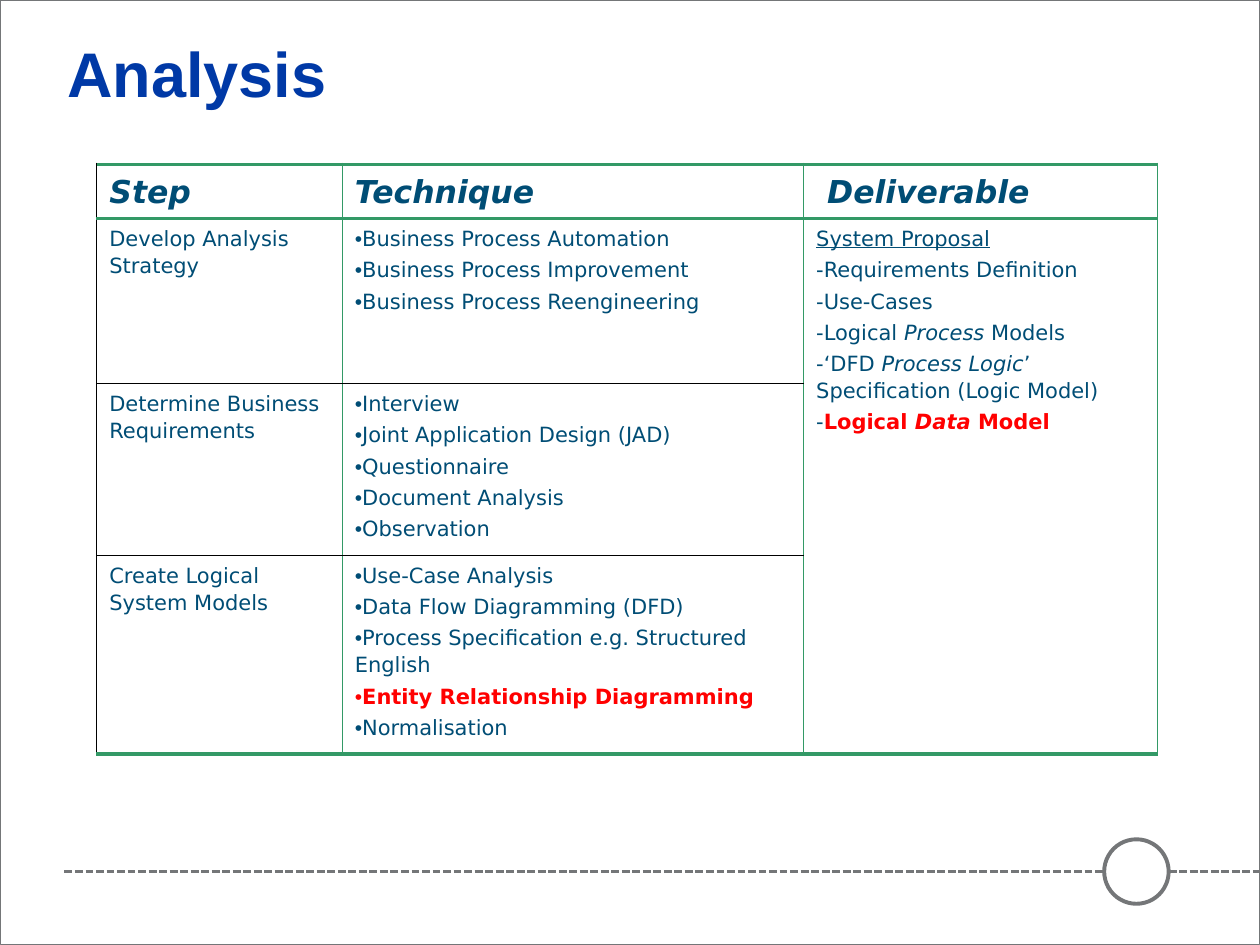
from lxml import etree
from pptx import Presentation
from pptx.dml.color import RGBColor
from pptx.enum.dml import MSO_LINE
from pptx.enum.shapes import MSO_CONNECTOR, MSO_SHAPE
from pptx.enum.text import MSO_ANCHOR, PP_ALIGN
from pptx.oxml.ns import qn
from pptx.util import Cm, Pt

STRAIGHT, DASH = MSO_CONNECTOR.STRAIGHT, MSO_LINE.SQUARE_DOT
OVAL, RECTANGLE = MSO_SHAPE.OVAL, MSO_SHAPE.RECTANGLE
MIDDLE, LEFT, JUSTIFY = MSO_ANCHOR.MIDDLE, PP_ALIGN.LEFT, PP_ALIGN.JUSTIFY

BLUE = RGBColor(0x00, 0x39, 0xA6)
TEAL = RGBColor(0x00, 0x4D, 0x75)
RED = RGBColor(0xFF, 0x00, 0x00)
GREEN = RGBColor(0x33, 0x99, 0x66)
BLACK = RGBColor(0x00, 0x00, 0x00)
WHITE = RGBColor(0xFF, 0xFF, 0xFF)
GREY = RGBColor(0x74, 0x76, 0x78)

# Content: a paragraph is a list of (text, style) spans
# Styles: b bold, i italic, u underlined, r red
TITLE = "Analysis"
HEADINGS = ["Step", "Technique", " Deliverable"]
STEPS = [
    ("Develop Analysis Strategy", [
        ("Business Process Automation", ""),
        ("Business Process Improvement", ""),
        ("Business Process Reengineering", "")]),
    ("Determine Business Requirements", [
        ("Interview", ""),
        ("Joint Application Design (JAD)", ""),
        ("Questionnaire", ""),
        ("Document Analysis", ""),
        ("Observation", "")]),
    ("Create Logical System Models", [
        ("Use-Case Analysis", ""),
        ("Data Flow Diagramming (DFD)", ""),
        ("Process Specification e.g. Structured English", ""),
        ("Entity Relationship Diagramming", "br"),
        ("Normalisation", "")]),
]
DELIVERABLES = [
    [("System Proposal", "u")],
    [("-Requirements Definition", "")],
    [("-Use-Cases", "")],
    [("-Logical ", ""), ("Process", "i"), (" Models", "")],
    [("-‘DFD ", ""), ("Process Logic", "i"), ("’ Specification (Logic Model)", "")],
    [("-", ""), ("Logical ", "br"), ("Data", "bir"), (" Model", "br")],
]

# Geometry in centimetres
COLUMN_WIDTHS = [4.95, 9.3, 7.13]
ROW_HEIGHTS = [1.09, 3.33, 3.46, 4.01]
RULE_Y = 17.57
CIRCLE_X, CIRCLE_SIZE = 22.26, 1.3

# Borders: (colour, points)
HEAVY, MEDIUM, THIN = (GREEN, 2), (GREEN, 1), (BLACK, 0.75)


def horizontal_border(index, column):
    if index in (0, 1, len(ROW_HEIGHTS)):
        return HEAVY
    return None if column == 2 else THIN


def add_border(cell, tag, border):
    properties = cell._tc.get_or_add_tcPr()
    line = etree.SubElement(properties, qn("a:" + tag))
    if border is None:
        etree.SubElement(line, qn("a:noFill"))
        return
    colour, points = border
    line.set("w", str(Pt(points)))
    fill = etree.SubElement(line, qn("a:solidFill"))
    etree.SubElement(fill, qn("a:srgbClr"), val=str(colour))


def add_bullet(para):
    properties = para._p.get_or_add_pPr()
    properties.set("marL", "0")
    properties.set("indent", "0")
    for mark in (etree.Element(qn("a:buFont"), typeface="Arial"),
                 etree.Element(qn("a:buChar"), char="•")):
        properties.insert_element_before(mark, "a:tabLst", "a:defRPr", "a:extLst")


def write_cell(cell, paragraphs, size=12, heading=False, bullet=False):
    frame = cell.text_frame
    for index, spans in enumerate(paragraphs):
        para = frame.add_paragraph() if index else frame.paragraphs[0]
        para.alignment = JUSTIFY if heading else LEFT
        para.line_spacing = 1.1
        para.space_after = Pt(size * 0.2)
        para.font.size = Pt(size)
        para.font.name = "DejaVu Sans"
        if bullet:
            add_bullet(para)
        for text, style in spans:
            span = para.add_run()
            span.text = text
            span.font.size = Pt(size)
            span.font.name = "DejaVu Sans"
            span.font.bold = "b" in style
            span.font.italic = "i" in style
            span.font.underline = "u" in style
            span.font.color.rgb = RED if "r" in style else TEAL


def add_outline(page, kind, left, top, width, height, points):
    shape = page.shapes.add_shape(kind, Cm(left), Cm(top), Cm(width), Cm(height))
    shape.shadow.inherit = False
    shape.fill.background()
    shape.line.color.rgb = GREY
    shape.line.width = Pt(points)
    return shape


deck = Presentation()
deck.slide_width, deck.slide_height = Cm(25.4), Cm(19.05)
page = deck.slides.add_slide(deck.slide_layouts[5])

# Page frame, dashed rule and circle
add_outline(page, RECTANGLE, 0, 0, 25.4, 19.05, 0.5)
rule = page.shapes.add_connector(STRAIGHT, Cm(1.3), Cm(RULE_Y), Cm(25.4), Cm(RULE_Y))
rule.line.color.rgb = GREY
rule.line.width = Pt(1.5)
rule.line.dash_style = DASH
etree.SubElement(rule._element.spPr, qn("a:effectLst"))
circle = add_outline(page, OVAL, CIRCLE_X, RULE_Y - CIRCLE_SIZE / 2,
                     CIRCLE_SIZE, CIRCLE_SIZE, 2.25)
circle.fill.solid()
circle.fill.fore_color.rgb = WHITE

# Title
title = page.shapes.title
title.left, title.top, title.width, title.height = Cm(1.1), Cm(0.73), Cm(23.06), Cm(1.47)
title.text_frame.text = TITLE
title.text_frame.vertical_anchor = MIDDLE
para = title.text_frame.paragraphs[0]
para.alignment = LEFT
para.font.size = Pt(36)
para.font.name = "Arial"
para.font.bold = True
para.font.color.rgb = BLUE

# Table
table = page.shapes.add_table(
    len(ROW_HEIGHTS), len(COLUMN_WIDTHS), Cm(1.95), Cm(3.31),
    Cm(sum(COLUMN_WIDTHS)), Cm(sum(ROW_HEIGHTS))).table
table.first_row = table.horz_banding = False
for column, width in zip(table.columns, COLUMN_WIDTHS):
    column.width = Cm(width)
for row, height in zip(table.rows, ROW_HEIGHTS):
    row.height = Cm(height)
table.cell(1, 2).merge(table.cell(len(STEPS), 2))

for column, heading in enumerate(HEADINGS):
    write_cell(table.cell(0, column), [[(heading, "bi")]], size=18, heading=True)
for row, (step, techniques) in enumerate(STEPS, start=1):
    write_cell(table.cell(row, 0), [[(step, "")]])
    write_cell(table.cell(row, 1), [[item] for item in techniques], bullet=True)
write_cell(table.cell(1, 2), DELIVERABLES)

# Cell borders and fills
for row in range(len(ROW_HEIGHTS)):
    for column in range(len(COLUMN_WIDTHS)):
        cell = table.cell(row, column)
        height = cell.span_height if cell.is_merge_origin else 1
        add_border(cell, "lnL", MEDIUM if column else THIN)
        add_border(cell, "lnR", MEDIUM)
        add_border(cell, "lnT", horizontal_border(row, column))
        add_border(cell, "lnB", horizontal_border(row + height, column))
        cell.fill.background()

deck.save("out.pptx")
